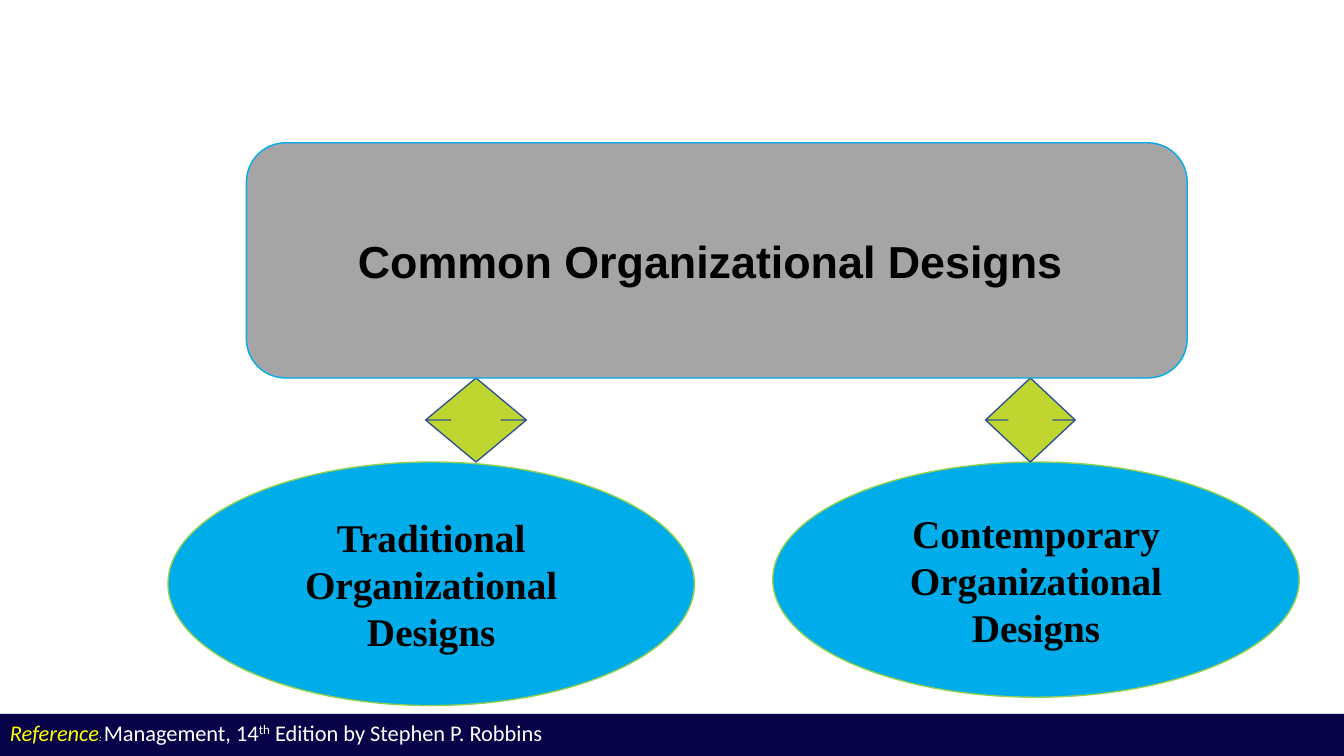
from dataclasses import dataclass

from pptx import Presentation
from pptx.dml.color import RGBColor
from pptx.enum.shapes import MSO_SHAPE
from pptx.enum.text import MSO_ANCHOR, PP_ALIGN
from pptx.util import Inches, Pt

WIDTH, HEIGHT = Inches(13.33), Inches(7.5)
COLUMNS, ROWS = 24, 9


@dataclass(frozen=True)
class Theme:
    heading_fill: str = "A5A5A5"
    branch_fill: str = "00ACEA"
    branch_line: str = "92D050"
    arrow_fill: str = "BED62F"
    arrow_line: str = "325491"
    footer_fill: str = "080349"
    dark: str = "000000"
    light: str = "FFFFFF"
    accent: str = "FFFF00"
    heading_font: str = "Arial"
    branch_font: str = "Times New Roman"
    footer_font: str = "Calibri"
    heading_size: int = 32
    branch_size: int = 28
    footer_size: int = 16
    colon_size: int = 7


THEME = Theme()


@dataclass(frozen=True)
class Box:
    """A region in grid columns and rows."""
    left: float
    top: float
    width: float
    height: float

    def to_lengths(self):
        column, row = WIDTH / COLUMNS, HEIGHT / ROWS
        return (round(self.left * column), round(self.top * row),
                round(self.width * column), round(self.height * row))


def add_figure(page, kind, box, fill, line=None):
    figure = page.shapes.add_shape(kind, *box.to_lengths())
    figure.shadow.inherit = False
    figure.fill.solid()
    figure.fill.fore_color.rgb = RGBColor.from_string(fill)
    if line:
        figure.line.color.rgb = RGBColor.from_string(line)
        figure.line.width = Pt(1)
    else:
        figure.line.fill.background()
    return figure


def set_label(figure, text, font_name, size):
    frame = figure.text_frame
    frame.word_wrap = True
    frame.vertical_anchor = MSO_ANCHOR.MIDDLE
    para = frame.paragraphs[0]
    para.text = text
    para.alignment = PP_ALIGN.CENTER
    para.font.name = font_name
    para.font.size = Pt(size)
    para.font.bold = True
    para.font.color.rgb = RGBColor.from_string(THEME.dark)


def add_heading(page, box, text):
    heading = add_figure(page, MSO_SHAPE.ROUNDED_RECTANGLE, box,
                         THEME.heading_fill, THEME.branch_fill)
    set_label(heading, text, THEME.heading_font, THEME.heading_size)


def add_branch(page, box, text, arrow_offset, arrow_width):
    """An oval with a one-row double arrow standing on its top edge."""
    oval = add_figure(page, MSO_SHAPE.OVAL, box,
                      THEME.branch_fill, THEME.branch_line)
    set_label(oval, text, THEME.branch_font, THEME.branch_size)
    arrow_box = Box(box.left + arrow_offset, box.top - 1, arrow_width, 1)
    add_figure(page, MSO_SHAPE.UP_DOWN_ARROW, arrow_box,
               THEME.arrow_fill, THEME.arrow_line)


def add_footer(page, box):
    bar = add_figure(page, MSO_SHAPE.RECTANGLE, box, THEME.footer_fill)
    frame = bar.text_frame
    frame.word_wrap = True
    frame.vertical_anchor = MSO_ANCHOR.TOP
    para = frame.paragraphs[0]
    para.alignment = PP_ALIGN.LEFT
    para.font.name = THEME.footer_font
    # Text, size, colour, italic, raised
    for text, size, color, italic, raised in (
        ("Reference", THEME.footer_size, THEME.accent, True, False),
        (": ", THEME.colon_size, THEME.light, True, False),
        ("Management, 14", THEME.footer_size, THEME.light, False, False),
        ("th", THEME.footer_size, THEME.light, False, True),
        (" Edition by Stephen P. Robbins", THEME.footer_size, THEME.light,
         False, False),
    ):
        span = para.add_run()
        span.text = text
        span.font.size = Pt(size)
        span.font.italic = italic
        span.font.color.rgb = RGBColor.from_string(color)
        if raised:
            span._r.get_or_add_rPr().set("baseline", "30000")


def main():
    deck = Presentation()
    deck.slide_width, deck.slide_height = WIDTH, HEIGHT
    page = deck.slides.add_slide(deck.slide_layouts[6])

    # Two kinds of design below their common heading
    add_branch(page, Box(3, 5.5, 9.4, 2.9),
               "Traditional Organizational Designs", 4.6, 1.8)
    add_branch(page, Box(13.8, 5.5, 9.4, 2.8),
               "Contemporary Organizational Designs", 3.8, 1.6)
    add_heading(page, Box(4.4, 1.7, 16.8, 2.8),
                "Common Organizational Designs ")

    # Reference bar
    add_footer(page, Box(0, 8.5, COLUMNS, 0.5))
    deck.save("out.pptx")


if __name__ == "__main__":
    main()
